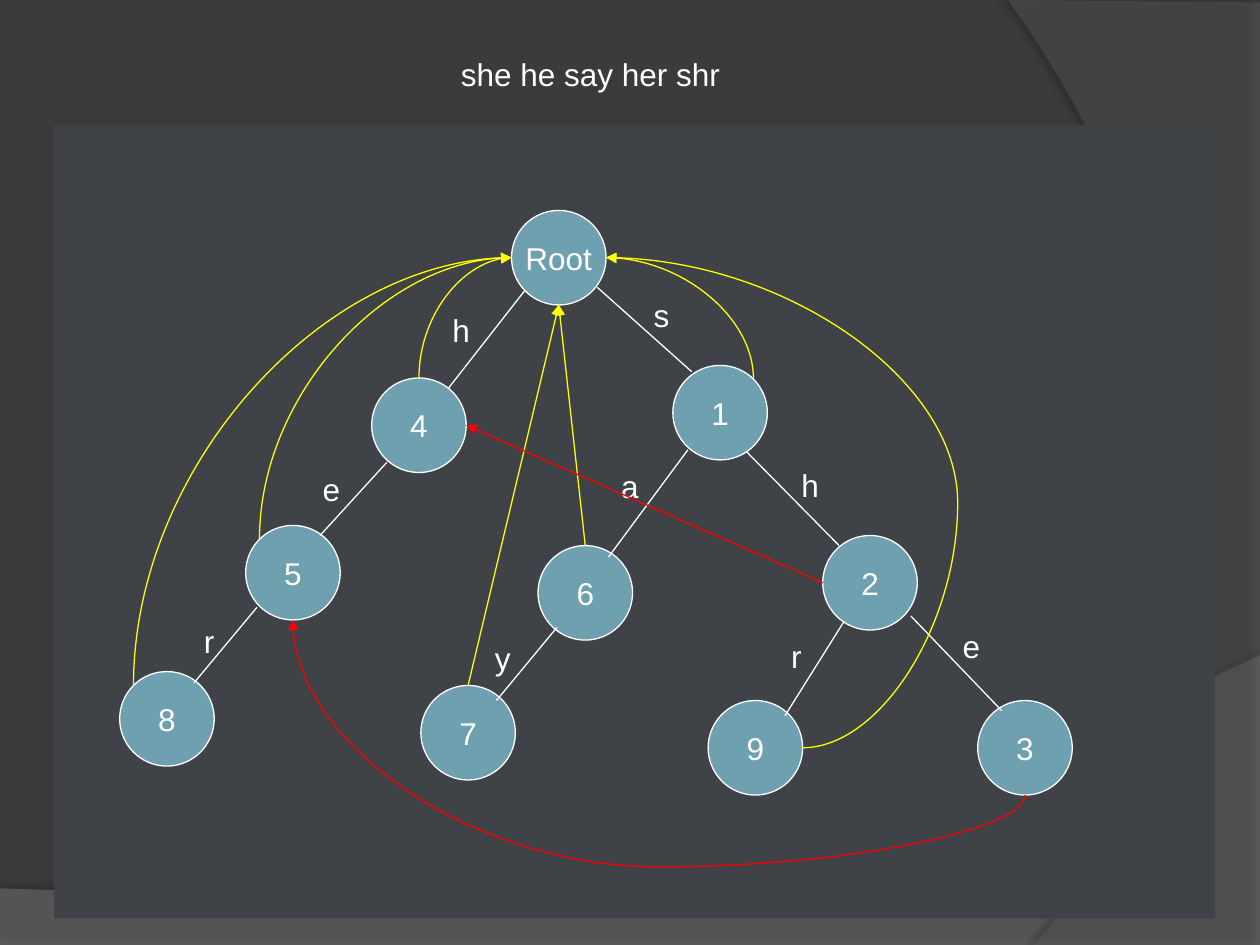
from dataclasses import dataclass
from math import cos, pi, sin

from lxml import etree
from pptx import Presentation
from pptx import util as u
from pptx.dml.color import RGBColor
from pptx.enum import shapes, text
from pptx.oxml import ns

Inches = u.Inches
NODE_SIZE = 0.75
SITES = ("top", "top left", "left", "bottom left", "bottom",
         "bottom right", "right", "top right")


@dataclass(frozen=True)
class Theme:
    background: str = "3B3B3B"
    floor: str = "7F7F7F"
    arc: str = "5E5E5E"
    shadow: str = "000000"
    panel: str = "3F4247"
    node: str = "6EA0B0"
    ink: str = "FFFFFF"
    root_link: str = "FFFF00"
    node_link: str = "FF0000"
    font: str = "Arial"
    size: int = 18
    line: float = 0.75


def sub(parent, tag, **attributes):
    child = etree.SubElement(parent, ns.qn(tag))
    for name, value in attributes.items():
        child.set(name, str(value))
    return child


def bezier(points, steps=40):
    def blend(t, axis):
        a, b, c, d = (point[axis] for point in points)
        s = 1 - t
        return s**3 * a + 3 * s * s * t * b + 3 * s * t * t * c + t**3 * d
    return [(blend(i / steps, 0), blend(i / steps, 1)) for i in range(steps + 1)]


def site(node, name):
    left, top = node
    angle = -pi / 2 - SITES.index(name) * pi / 4
    radius = NODE_SIZE / 2
    return left + radius + radius * cos(angle), top + radius + radius * sin(angle)


class TrieSlide:
    """Draws the elements of a trie diagram on one slide."""

    def __init__(self, slide, theme):
        self.slide = slide
        self.theme = theme
        self.paint(slide.background.fill, theme.background)

    def paint(self, fill, color):
        fill.solid()
        fill.fore_color.rgb = RGBColor.from_string(color)

    def set_text(self, shape, words, align):
        frame = shape.text_frame
        paragraph = frame.paragraphs[0]
        paragraph.text = words
        paragraph.alignment = align
        paragraph.font.name = self.theme.font
        paragraph.font.size = u.Pt(self.theme.size)
        paragraph.font.color.rgb = RGBColor.from_string(self.theme.ink)
        return frame

    def label(self, words, left, top, width=0.34, align=text.PP_ALIGN.CENTER, wrap=False):
        shape = self.slide.shapes.add_textbox(*map(Inches, (left, top, width, 0.4)))
        self.set_text(shape, words, align).word_wrap = wrap

    def panel(self, left, top, width, height):
        shape = self.slide.shapes.add_shape(
            shapes.MSO_SHAPE.RECTANGLE, *map(Inches, (left, top, width, height)))
        shape.shadow.inherit = False
        self.paint(shape.fill, self.theme.panel)
        shape.line.fill.background()

    def node(self, words, left, top):
        shape = self.slide.shapes.add_shape(
            shapes.MSO_SHAPE.OVAL, *map(Inches, (left, top, NODE_SIZE, NODE_SIZE)))
        shape.shadow.inherit = False
        self.paint(shape.fill, self.theme.node)
        self.paint(shape.line.fill, self.theme.ink)
        shape.line.width = u.Pt(self.theme.line)
        frame = self.set_text(shape, words, text.PP_ALIGN.CENTER)
        frame.word_wrap = False
        frame.vertical_anchor = text.MSO_ANCHOR.MIDDLE

    def backdrop(self, points, color, opacity, shadow_opacity, distance, direction):
        builder = self.slide.shapes.build_freeform(
            *map(Inches, points[0]), scale=1.0)
        builder.add_line_segments([tuple(map(Inches, point)) for point in points[1:]])
        shape = builder.convert_to_shape()
        self.paint(shape.fill, color)
        shape.line.fill.background()
        fill_color = shape._element.spPr.find(".//" + ns.qn("a:srgbClr"))
        sub(fill_color, "a:alpha", val=opacity * 1000)
        shape.shadow.inherit = False
        effects = shape._element.spPr.find(ns.qn("a:effectLst"))
        shadow = sub(effects, "a:outerShdw", blurRad=u.Pt(4), dist=u.Pt(distance),
                     dir=direction * 60000, rotWithShape=0)
        shadow_color = sub(shadow, "a:srgbClr", val=self.theme.shadow)
        sub(shadow_color, "a:alpha", val=shadow_opacity * 1000)

    def connect(self, start, end, color, arrow=False, preset="line", turn=0, bend=None):
        middle_x, middle_y = (start[0] + end[0]) / 2, (start[1] + end[1]) / 2
        dx, dy = start[0] - middle_x, start[1] - middle_y
        dx, dy = {0: (dx, dy), 90: (dy, -dx), 270: (-dy, dx)}[turn]
        ends = (middle_x + dx, middle_y + dy, middle_x - dx, middle_y - dy)
        connector = self.slide.shapes.add_connector(
            shapes.MSO_CONNECTOR.STRAIGHT, *map(Inches, ends))
        self.paint(connector.line.fill, color)
        connector.line.width = u.Pt(self.theme.line)
        properties = connector._element.spPr
        if turn:
            properties.find(ns.qn("a:xfrm")).set("rot", str(turn * 60000))
        geometry = properties.find(ns.qn("a:prstGeom"))
        geometry.set("prst", preset)
        if bend is not None:
            guides = geometry.find(ns.qn("a:avLst"))
            sub(guides, "a:gd", name="adj1", fmla=f"val {round(bend * 100000)}")
        if arrow:
            sub(properties.find(ns.qn("a:ln")), "a:tailEnd", type="triangle")
        sub(properties, "a:effectLst")


theme = Theme()
presentation = Presentation()
presentation.slide_width, presentation.slide_height = Inches(10), Inches(7.5)
trie = TrieSlide(presentation.slides.add_slide(presentation.slide_layouts[6]), theme)

floor = [(0, 7.5), (10, 7.5)] + bezier([(10, 5.2), (5.59, 7.29), (3.91, 7.19), (0, 7.05)])
arc = [(10, 0.02), (10, 7.5)] + bezier([(8.21, 7.5), (9.35, 6.19), (10.18, 3), (8, 0)])
trie.backdrop(floor, theme.floor, 45, 35, 3.5, 270)
trie.backdrop(arc, theme.arc, 40, 45, 4, 180)
trie.label("she he say her shr", 3.56, 0.39, 5, text.PP_ALIGN.LEFT, True)
trie.panel(0.43, 0.99, 9.21, 6.3)

nodes = {
    "Root": (4.06, 1.67), "1": (5.34, 2.9), "2": (6.53, 4.25), "3": (7.76, 5.56),
    "4": (2.95, 3), "5": (1.95, 4.17), "6": (4.27, 4.33), "7": (3.34, 5.44),
    "8": (0.95, 5.33), "9": (5.62, 5.56),
}
for name, place in nodes.items():
    trie.node(name, *place)

edges = [
    ("h", (3.49, 2.42), (4.17, 2.3), (3.56, 3.08)),
    ("e", (2.46, 3.68), (3.07, 3.67), (2.54, 4.25)),
    ("r", (1.49, 4.89), (2.04, 4.82), (1.54, 5.42)),
    ("s", (5.08, 2.3), (4.74, 2.28), (5.49, 2.95)),
    ("a", (4.83, 3.66), (5.46, 3.57), (4.83, 4.42)),
    ("y", (3.82, 5.02), (4.42, 4.98), (3.94, 5.56)),
    ("h", (6.26, 3.65), (5.93, 3.59), (6.66, 4.33)),
    ("r", (6.15, 5.01), (6.7, 4.93), (6.23, 5.68)),
    ("e", (7.54, 4.93), (7.23, 4.89), (7.95, 5.64)),
]
for letter, place, start, end in edges:
    trie.connect(start, end, theme.ink)
    trie.label(letter, *place)

links = [
    ("4", "top", "Root", "left", "curvedConnector2", 90, None),
    ("5", "top left", "Root", "left", "curvedConnector2", 90, None),
    ("8", "top left", "Root", "left", "curvedConnector2", 90, None),
    ("6", "top", "Root", "bottom", "line", 0, None),
    ("7", "top", "Root", "bottom", "line", 0, None),
    ("1", "top right", "Root", "right", "curvedConnector2", 270, None),
    ("9", "right", "Root", "right", "curvedConnector3", 0, -0.79),
    ("2", "left", "4", "right", "line", 0, None),
    ("3", "bottom", "5", "bottom", "curvedConnector3", 90, -0.41),
]
for source, source_site, target, target_site, preset, turn, bend in links:
    color = theme.root_link if target == "Root" else theme.node_link
    trie.connect(site(nodes[source], source_site), site(nodes[target], target_site),
                 color, True, preset, turn, bend)

presentation.save("out.pptx")
